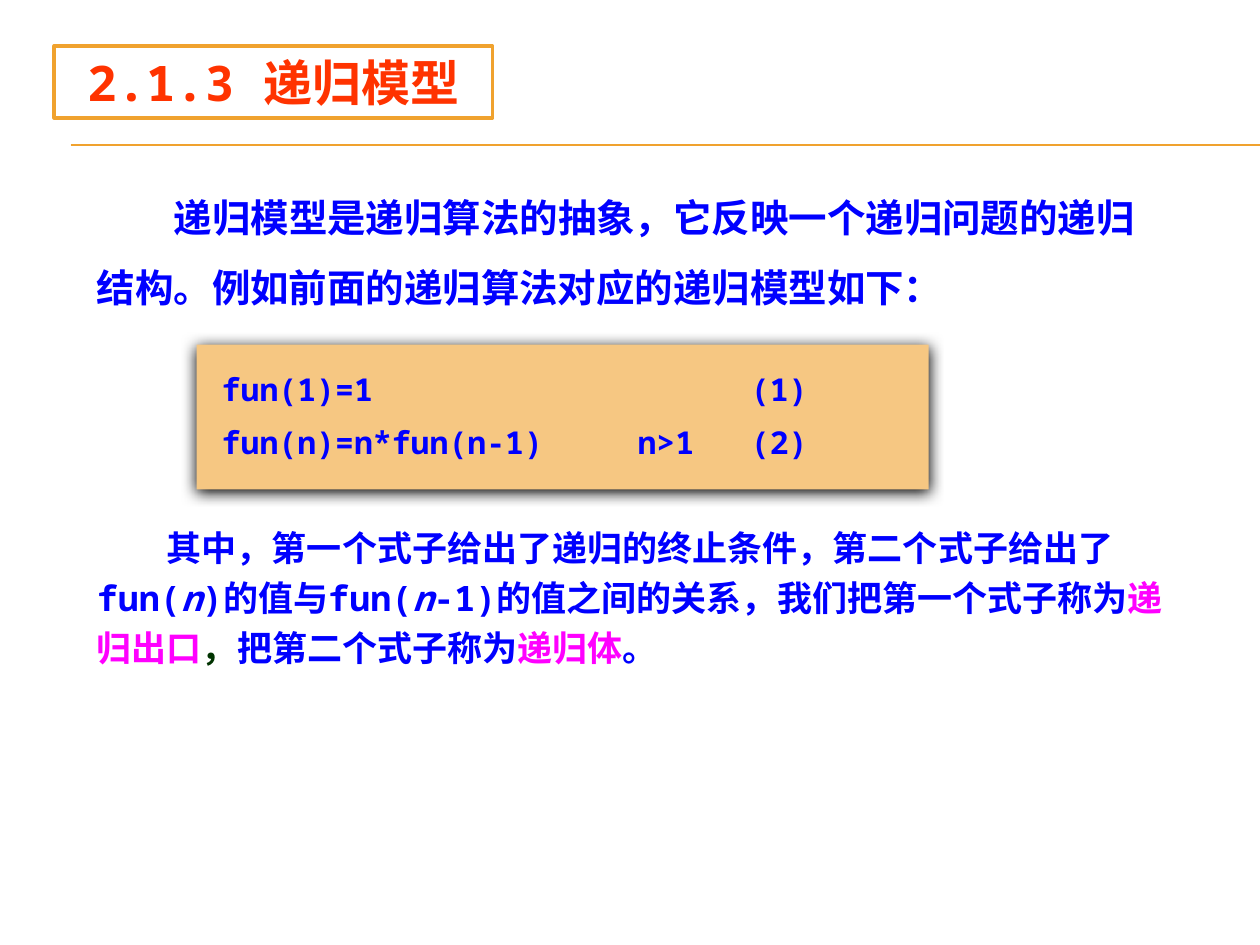
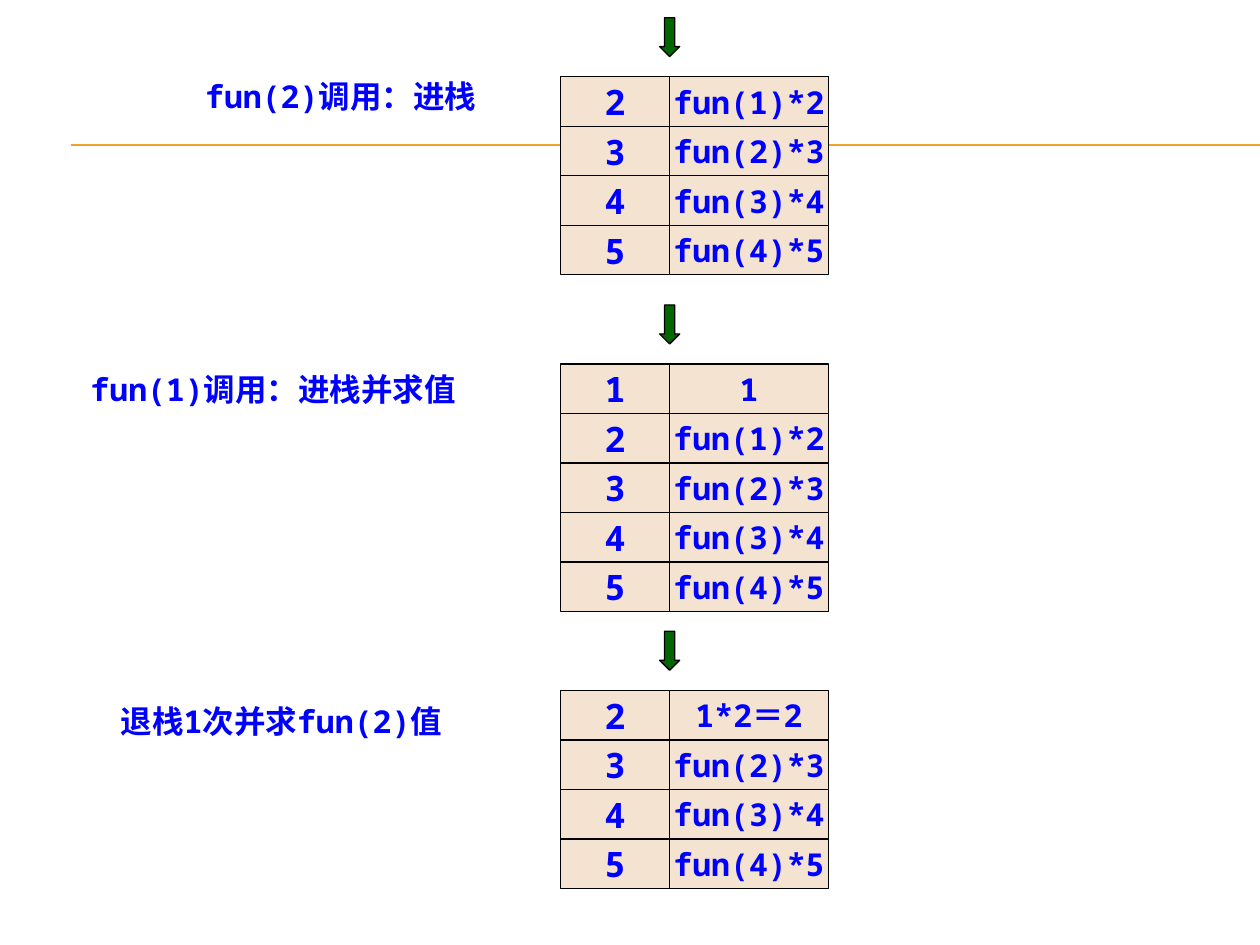
"""Build two slides on the recursion model and the call stack of a factorial."""
from lxml.etree import SubElement
from pptx import Presentation
from pptx.dml.color import RGBColor
from pptx.enum.shapes import MSO_CONNECTOR, MSO_SHAPE
from pptx.enum.text import MSO_ANCHOR, MSO_AUTO_SIZE, PP_ALIGN
from pptx.oxml.ns import qn
from pptx.util import Inches, Pt

COLORS = {
    "text": "0000FF", "title": "FF3300", "term": "FF00FF", "comma": "003300",
    "rule": "F0A22E", "code": "F6C782", "cell": "F5E3D1", "arrow": "006600",
    "white": "FFFFFF", "black": "000000",
}
FONT = "Noto Sans Mono"
UNIT = Inches(0.1)
COLUMNS, ROWS = 100, 75


def add_paragraph(shape, *runs, size=18, color="text", align=PP_ALIGN.LEFT,
                  line_spacing=1.0, space_before=0, indent=0, tabs=()):
    """Append a paragraph; each run is text or a (text, color, italic) tuple."""
    frame = shape.text_frame
    paragraph = frame.paragraphs[0]
    if paragraph.runs:
        paragraph = frame.add_paragraph()
    paragraph.alignment = align
    paragraph.line_spacing = line_spacing
    paragraph.space_before = Pt(space_before)
    properties = paragraph._p.get_or_add_pPr()
    if indent:
        properties.set("indent", str(Pt(indent)))
    if tabs:
        tab_list = SubElement(properties, qn("a:tabLst"))
        for column in tabs:
            SubElement(tab_list, qn("a:tab"), pos=str(int(column * UNIT)), algn="l")
    for item in runs:
        text, run_color, italic = (item, color, False) if isinstance(item, str) else item
        run = paragraph.add_run()
        run.text = text
        run.font.name = FONT
        run.font.size = Pt(size)
        run.font.bold = True
        run.font.italic = italic
        run.font.color.rgb = RGBColor.from_string(COLORS[run_color])
        SubElement(run._r.get_or_add_rPr(), qn("a:ea"), typeface=FONT)


def add_box(slide, left, top, width, height, fill=None, line=None, line_width=0.75,
            preset=MSO_SHAPE.RECTANGLE):
    """Add a text box, or a preset shape when a fill is given, on the grid."""
    place = [int(length * UNIT) for length in (left, top, width, height)]
    if fill is None:
        shape = slide.shapes.add_textbox(*place)
    else:
        shape = slide.shapes.add_shape(preset, *place)
        shape.shadow.inherit = False
        shape.fill.solid()
        shape.fill.fore_color.rgb = RGBColor.from_string(COLORS[fill])
        if line:
            shape.line.color.rgb = RGBColor.from_string(COLORS[line])
            shape.line.width = Pt(line_width)
        else:
            shape.line.fill.background()
    shape.text_frame.word_wrap = True
    shape.text_frame.vertical_anchor = MSO_ANCHOR.TOP
    return shape


presentation = Presentation()
presentation.slide_width = COLUMNS * UNIT
presentation.slide_height = ROWS * UNIT
model_slide = presentation.slides.add_slide(presentation.slide_layouts[5])
stack_slide = presentation.slides.add_slide(presentation.slide_layouts[6])

for slide in (model_slide, stack_slide):
    for row in (11.5, 11.55):
        rule = slide.shapes.add_connector(
            MSO_CONNECTOR.STRAIGHT, int(5.6 * UNIT), int(row * UNIT),
            COLUMNS * UNIT, int(row * UNIT))
        rule.line.color.rgb = RGBColor.from_string(COLORS["rule"])
        rule.line.width = Pt(0.75)
        SubElement(rule._element.spPr, qn("a:effectLst"))

title = model_slide.shapes.title
title.left, title.top, title.width, title.height = [
    int(length * UNIT) for length in (4.3, 3.65, 34.8, 5.7)]
title.fill.solid()
title.fill.fore_color.rgb = RGBColor.from_string(COLORS["white"])
title.line.color.rgb = RGBColor.from_string(COLORS["rule"])
title.line.width = Pt(2)
title.text_frame.vertical_anchor = MSO_ANCHOR.TOP
title.text_frame.auto_size = MSO_AUTO_SIZE.NONE
add_paragraph(title, "2.1.3 递归模型", size=28, color="title", align=PP_ALIGN.CENTER)

introduction = add_box(model_slide, 6.7, 13.1, 85.1, 11.5)
add_paragraph(
    introduction,
    "递归模型是递归算法的抽象，它反映一个递归问题的递归结构。例如前面的递归算法对应的递归模型如下：",
    size=22, line_spacing=1.5, indent=44)

formulas = add_box(model_slide, 15.6, 27.35, 58.1, 11.5, fill="code")
frame = formulas.text_frame
frame.margin_left = frame.margin_top = frame.margin_bottom = 2 * UNIT
add_paragraph(formulas, "fun(1)=1\t(1)", tabs=[42])
add_paragraph(formulas, "fun(n)=n*fun(n-1)\tn>1\t(2)", space_before=9, tabs=[33, 42])
shadow = SubElement(
    formulas._element.spPr.find(qn("a:effectLst")), qn("a:outerShdw"),
    blurRad=str(Pt(8.5)), dist=str(Pt(1)), dir="5400000", algn="ctr", rotWithShape="0")
SubElement(shadow, qn("a:srgbClr"), val=COLORS["black"])

explanation = add_box(model_slide, 6.7, 40.6, 87.4, 12.8)
add_paragraph(
    explanation,
    "其中，第一个式子给出了递归的终止条件，第二个式子给出了fun(", ("n", "text", True),
    ")的值与fun(", ("n", "text", True), "-1)的值之间的关系，我们把第一个式子称为",
    ("递归出口", "term", False), ("，", "comma", False), "把第二个式子称为",
    ("递归体", "term", False), "。",
    size=20, line_spacing=1.2, indent=40)

waiting_calls = [("3", "fun(2)*3"), ("4", "fun(3)*4"), ("5", "fun(4)*5")]
second_call = ("2", "fun(1)*2")
stacks = [
    (6.1, [second_call] + waiting_calls, "fun(2)调用：进栈", (15.3, 5.6, 26)),
    (28.9, [("1", "1"), second_call] + waiting_calls, "fun(1)调用：进栈并求值", (6.2, 28.9, 36.6)),
    (54.8, [("2", "1*2＝2")] + waiting_calls, "退栈1次并求fun(2)值", (8.6, 55.2, 32.7)),
]
cell_columns = [(44.5, 8.65, 20), (53.15, 12.6, 18)]
cell_height = 3.93

for stack_top, entries, step, (label_left, label_top, label_width) in stacks:
    arrow = add_box(stack_slide, 52.35, stack_top - 4.7, 1.6, 3.1, fill="arrow",
                    line="black", preset=MSO_SHAPE.DOWN_ARROW)
    arrow.adjustments[0] = 0.5
    arrow.adjustments[1] = 0.5
    for row, entry in enumerate(entries):
        for text, (left, width, size) in zip(entry, cell_columns):
            cell = add_box(stack_slide, left, stack_top + row * cell_height,
                           width, cell_height, fill="cell", line="black")
            cell.text_frame.word_wrap = False
            cell.text_frame.vertical_anchor = MSO_ANCHOR.MIDDLE
            add_paragraph(cell, text, size=size, align=PP_ALIGN.CENTER)
    label = add_box(stack_slide, label_left, label_top, label_width, 4)
    add_paragraph(label, step)

presentation.save("out.pptx")
